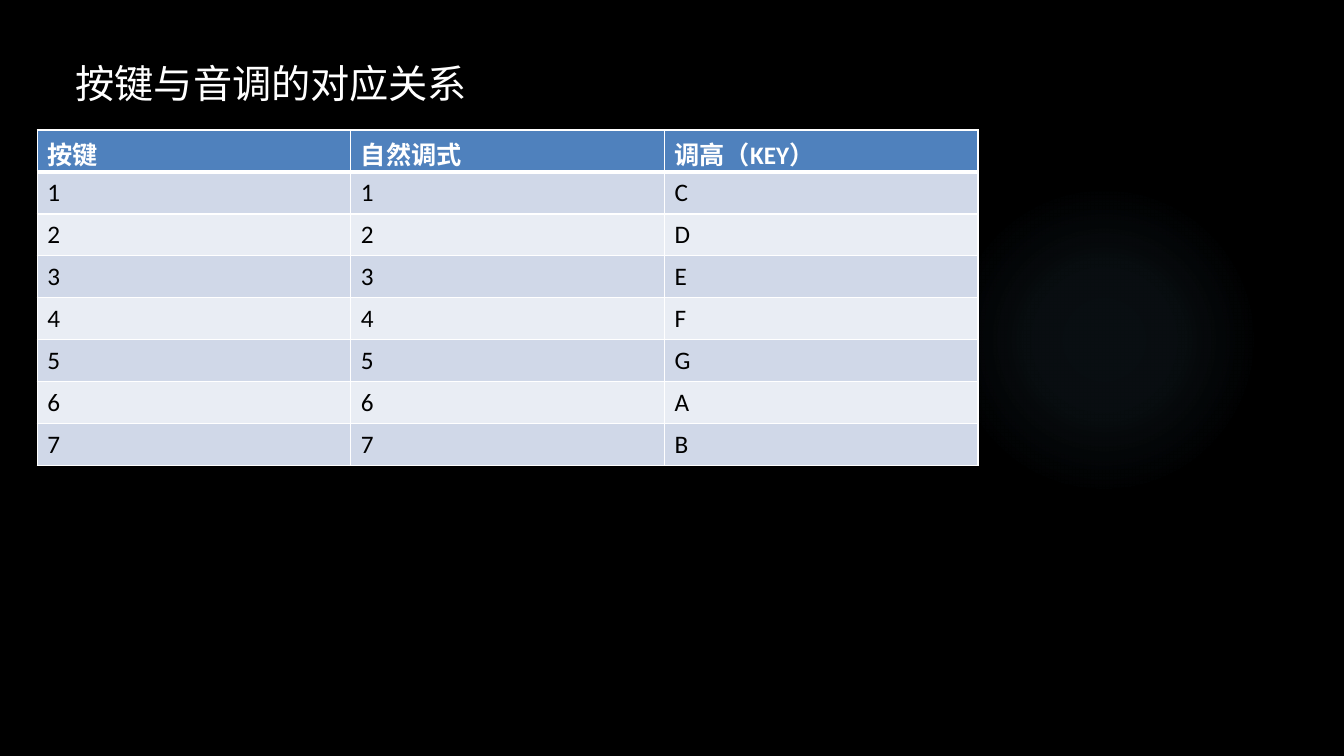
"""Build the slide that maps piano keys to scale degrees and pitch names."""
from pptx import Presentation, oxml, util as u
from pptx.dml import color
from pptx.enum import shapes, text
from pptx.oxml import ns


def rgb(value):
    return color.RGBColor.from_string(value)


def write(tf, words, size, font, fill, bold=False, before=0):
    p = tf.paragraphs[0]
    p.alignment = text.PP_ALIGN.LEFT
    p.space_before = u.Pt(before)
    r = p.add_run()
    r.text = words
    r.font.size, r.font.name, r.font.bold = u.Pt(size), font, bold
    r.font.color.rgb = rgb(fill)


prs = Presentation()
prs.slide_width, prs.slide_height = u.Inches(13.33), u.Inches(7.5)
s = prs.slides.add_slide(prs.slide_layouts[5])
s.background.fill.solid()
s.background.fill.fore_color.rgb = rgb("000000")

glow = s.shapes.add_shape(shapes.MSO_SHAPE.OVAL, u.Inches(9.41), u.Inches(1.83),
                          u.Inches(3.08), u.Inches(3.08))
glow.shadow.inherit = False
glow.line.fill.background()
stops = "".join(
    f'<a:gs pos="{pos * 1000}"><a:srgbClr val="7AC4F0">'
    f'<a:alpha val="{alpha * 1000}"/></a:srgbClr></a:gs>'
    for pos, alpha in [(0, 7), (36, 6), (69, 0)])
gradient = oxml.parse_xml(
    f'<a:gradFill {ns.nsdecls("a")}><a:gsLst>{stops}</a:gsLst><a:path path="circle">'
    '<a:fillToRect l="50000" t="50000" r="50000" b="50000"/></a:path></a:gradFill>')
glow._element.spPr.find(ns.qn("a:prstGeom")).addnext(gradient)

title = s.shapes.title
title.left, title.top = u.Inches(0.65), u.Inches(0.54)
title.width, title.height = u.Inches(4.4), u.Inches(0.57)
tf = title.text_frame
tf.word_wrap = True
tf.auto_size = text.MSO_AUTO_SIZE.SHAPE_TO_FIT_TEXT
tf.vertical_anchor = text.MSO_ANCHOR.TOP
write(tf, "按键与音调的对应关系", size=28, font="League Spartan", fill="FFFFFF")

rows = [("按键", "自然调式", "调高（KEY）")]
rows += [(str(n), str(n), pitch) for n, pitch in enumerate("CDEFGAB", 1)]
table = s.shapes.add_table(len(rows), 3, u.Inches(0.37), u.Inches(1.29),
                           u.Inches(9.33), u.Inches(3.33)).table
for i, row in enumerate(rows):
    header = i == 0
    for j, words in enumerate(row):
        cell = table.cell(i, j)
        cell.vertical_anchor = text.MSO_ANCHOR.MIDDLE
        widths = {"L": 1, "R": 1, "T": 3 if i == 1 else 1, "B": 3 if header else 1}
        for side, width in widths.items():
            cell._tc.get_or_add_tcPr().append(oxml.parse_xml(
                f'<a:ln{side} {ns.nsdecls("a")} w="{u.Pt(width)}"><a:solidFill>'
                f'<a:srgbClr val="FFFFFF"/></a:solidFill></a:ln{side}>'))
        cell.fill.solid()
        cell.fill.fore_color.rgb = rgb(
            "4F81BD" if header else "D0D8E8" if i % 2 else "E9EDF4")
        write(cell.text_frame, words, size=18, font="Calibri", bold=header, before=10,
              fill="FFFFFF" if header else "000000")

prs.save("out.pptx")
